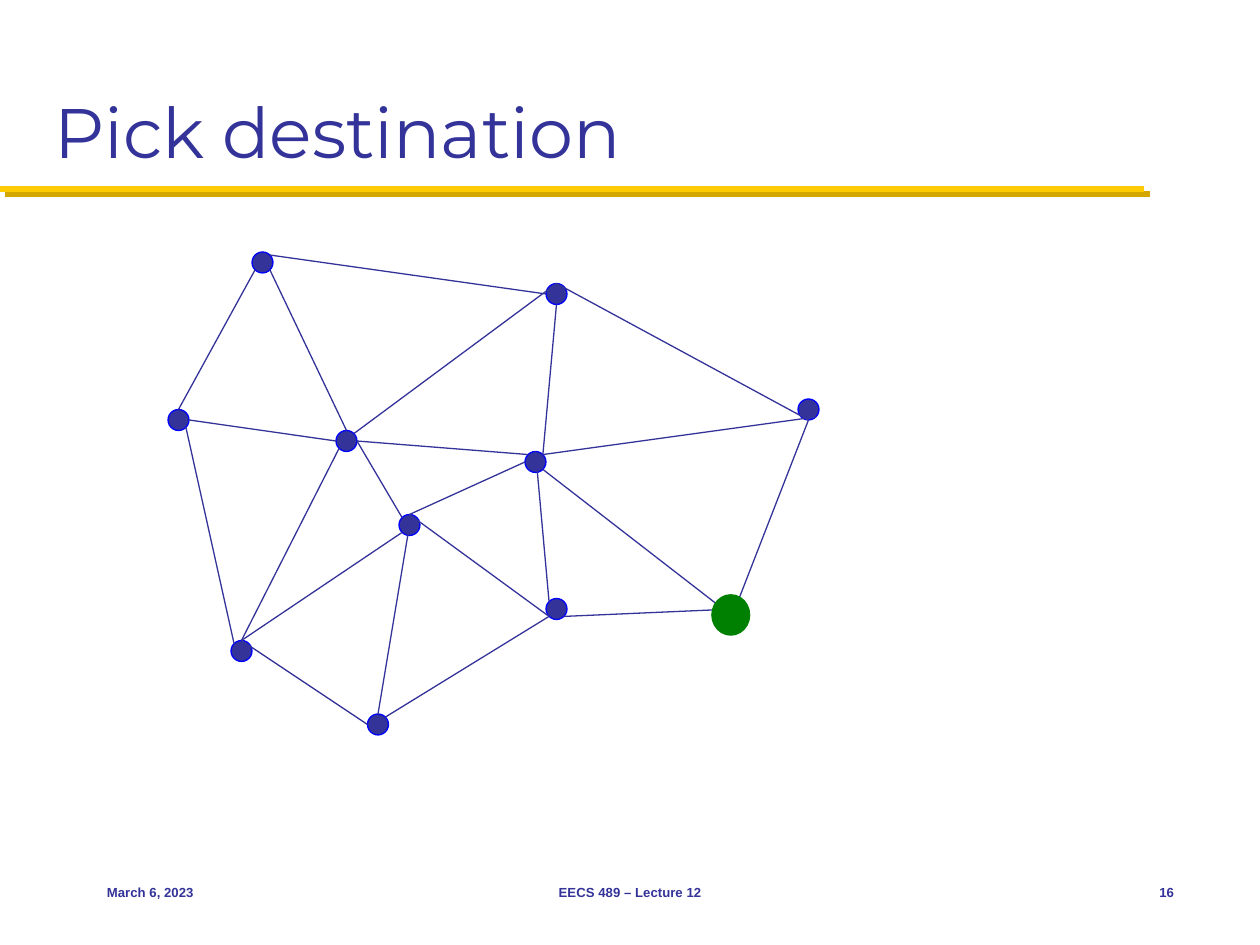
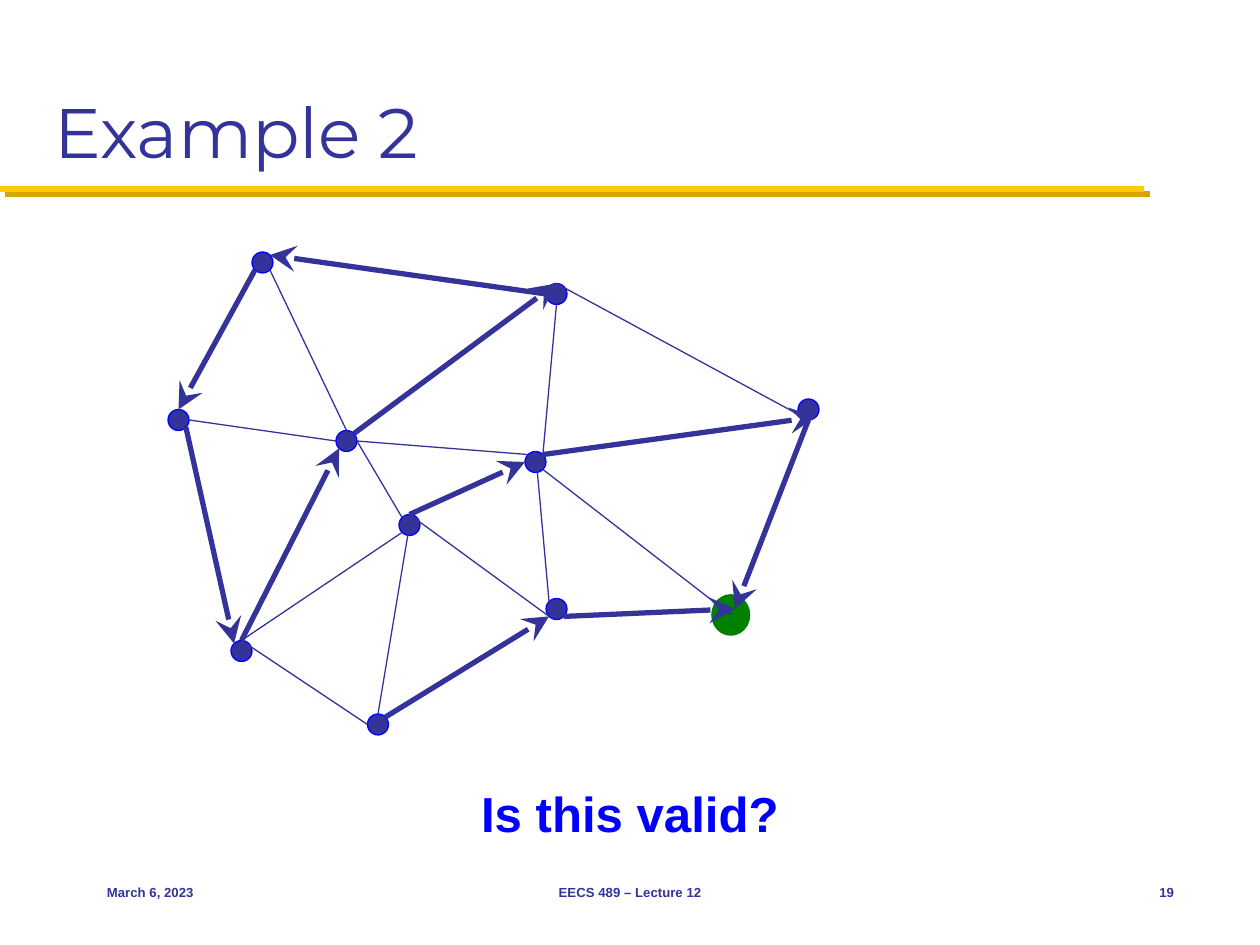
from dataclasses import dataclass
from math import sqrt

from lxml import etree
from pptx import Presentation
from pptx.dml.color import RGBColor
from pptx.enum.shapes import MSO_CONNECTOR, MSO_SHAPE
from pptx.enum.text import MSO_ANCHOR, PP_ALIGN
from pptx.oxml.ns import qn
from pptx.util import Pt

OVAL = MSO_SHAPE.OVAL
STRAIGHT = MSO_CONNECTOR.STRAIGHT
LEFT, CENTER, RIGHT = PP_ALIGN.LEFT, PP_ALIGN.CENTER, PP_ALIGN.RIGHT
TOP, MIDDLE, BOTTOM = MSO_ANCHOR.TOP, MSO_ANCHOR.MIDDLE, MSO_ANCHOR.BOTTOM


@dataclass(frozen=True)
class Theme:
    """Colours, fonts and sizes shared by the slides."""
    ink: str = "333399"
    blue: str = "0000FF"
    green: str = "008000"
    gold: str = "FFCB05"
    gold_shadow: str = "D3A600"
    title_font: str = "Montserrat"
    body_font: str = "Arial"
    title_size: float = 40
    question_size: float = 28.1
    footer_size: float = 7.5
    rule: float = 3.5
    thin: float = 0.75
    thick: float = 3


THEME = Theme()

TITLE_BOX = (24, 12, 672, 90)
RULE_BOX = (0, 108, 654, 0)
GRAPH_BOX = (96, 144, 372, 276)
QUESTION_BOX = (126, 444, 468, 41)
FOOTER_BOX = (54, 492, 624, 36)

RADIUS = 6
GOAL_SIZE = (21.6, 23.04)

# Node centres, measured from the corner of the graph box.
NODES = {
    "northwest": (54, 6), "west": (6, 96), "north": (222, 24),
    "low": (222, 204), "south": (120, 270), "hub": (102, 108),
    "east": (366, 90), "middle": (138, 156), "southwest": (42, 228),
    "core": (210, 120),
}
# The destination, and the point on it where routes arrive.
GOAL = {"goal": (321.6, 207.4), "entry": (324, 204)}

DIAGONAL = 1 / sqrt(2)
SIDES = {
    "C": (0, 0), "N": (0, -1), "S": (0, 1), "W": (-1, 0), "E": (1, 0),
    "NW": (-DIAGONAL, -DIAGONAL), "NE": (DIAGONAL, -DIAGONAL),
    "SW": (-DIAGONAL, DIAGONAL), "SE": (DIAGONAL, DIAGONAL),
}

# Each link: node, side, node, side.
PLAIN_LINKS = [
    ("northwest", "SE", "hub", "N"),
    ("hub", "E", "middle", "NW"),
    ("core", "SE", "goal", "C"),
    ("north", "S", "core", "NE"),
    ("north", "N", "east", "S"),
    ("southwest", "N", "south", "W"),
    ("middle", "N", "low", "SW"),
    ("core", "N", "low", "NW"),
    ("middle", "C", "south", "N"),
    ("hub", "E", "core", "NW"),
    ("west", "E", "hub", "W"),
    ("southwest", "N", "middle", "SW"),
]
# Links that carry a route, in the direction of travel.
ROUTE_LINKS = [
    ("northwest", "SW", "west", "N"),
    ("west", "SE", "southwest", "NW"),
    ("low", "SE", "entry", "C"),
    ("south", "NE", "low", "SW"),
    ("southwest", "N", "hub", "SW"),
    ("middle", "N", "core", "W"),
    ("core", "NE", "east", "SE"),
    ("north", "W", "northwest", "NE"),
    ("hub", "NE", "north", "N"),
    ("east", "S", "entry", "C"),
]


def color(value):
    """Turn a hex string into a colour."""
    return RGBColor.from_string(value)


def add_text(page, box, text, size, tint=THEME.ink, font=THEME.body_font,
             bold=True, align=LEFT, anchor=MIDDLE):
    """Place one line of text in a box."""
    frame = page.shapes.add_textbox(*map(Pt, box)).text_frame
    frame.word_wrap = True
    frame.vertical_anchor = anchor
    para = frame.paragraphs[0]
    para.alignment = align
    span = para.add_run()
    span.text = text
    span.font.name = font
    span.font.size = Pt(size)
    span.font.bold = bold
    span.font.color.rgb = color(tint)


def add_line(page, start, end, tint, width, arrow=False):
    """Draw a straight line and return its effect list, which is empty."""
    line = page.shapes.add_connector(STRAIGHT, *map(Pt, (*start, *end)))
    line.line.color.rgb = color(tint)
    line.line.width = Pt(width)
    if arrow:
        etree.SubElement(line.line._get_or_add_ln(), qn("a:tailEnd"),
                         type="stealth", w="lg", len="lg")
    return etree.SubElement(line._element.spPr, qn("a:effectLst"))


def add_oval(page, center, size, fill, outline):
    """Draw an ellipse around a centre."""
    (x, y), (width, height) = center, size
    oval = page.shapes.add_shape(OVAL, Pt(x - width / 2), Pt(y - height / 2),
                                 Pt(width), Pt(height))
    oval.shadow.inherit = False
    oval.fill.solid()
    oval.fill.fore_color.rgb = color(fill)
    oval.line.color.rgb = color(outline)
    oval.line.width = Pt(THEME.thin)


def add_rule(page, box):
    """Draw the gold rule with its hard shadow."""
    left, top, width, _ = box
    effects = add_line(page, (left, top), (left + width, top),
                       THEME.gold, THEME.rule)
    shadow = etree.SubElement(effects, qn("a:outerShdw"), blurRad="0",
                              dist=str(Pt(4.2)), dir="2700000",
                              algn="ctr", rotWithShape="0")
    etree.SubElement(shadow, qn("a:srgbClr"), val=THEME.gold_shadow)


def add_footer(page, box, number):
    """Place date, lecture name and page number along the footer."""
    left, top, width, height = box
    parts = [
        (0, 150, "March 6, 2023", LEFT),
        (192, 228, "EECS 489 – Lecture 12", CENTER),
        (width - 48, 48, str(number), RIGHT),
    ]
    for offset, part_width, text, align in parts:
        add_text(page, (left + offset, top, part_width, height), text,
                 THEME.footer_size, align=align)


def add_graph(page, box, routed):
    """Draw the network; a routed one has arrows over the destination."""
    left, top = box[:2]
    centers = {name: (left + x, top + y)
               for name, (x, y) in {**NODES, **GOAL}.items()}

    def anchor(name, side):
        """Find the point on one side of a node."""
        return tuple(middle + RADIUS * step
                     for middle, step in zip(centers[name], SIDES[side]))

    def add_goal():
        """Draw the destination."""
        add_oval(page, centers["goal"], GOAL_SIZE, THEME.green, THEME.green)

    if routed:
        add_goal()
    for name in NODES:
        add_oval(page, centers[name], (2 * RADIUS, 2 * RADIUS),
                 THEME.ink, THEME.blue)
    route_width = THEME.thick if routed else THEME.thin
    for links, width, arrow in ((PLAIN_LINKS, THEME.thin, False),
                                (ROUTE_LINKS, route_width, routed)):
        for source, source_side, target, target_side in links:
            add_line(page, anchor(source, source_side),
                     anchor(target, target_side), THEME.ink, width, arrow)
    if not routed:
        add_goal()


def add_page(deck, title, number, routed=False, question=None):
    """Build one network slide."""
    page = deck.slides.add_slide(deck.slide_layouts[6])
    add_rule(page, RULE_BOX)
    add_text(page, TITLE_BOX, title, THEME.title_size,
             font=THEME.title_font, bold=False, anchor=BOTTOM)
    add_graph(page, GRAPH_BOX, routed)
    if question:
        add_text(page, QUESTION_BOX, question, THEME.question_size,
                 tint=THEME.blue, align=CENTER, anchor=TOP)
    add_footer(page, FOOTER_BOX, number)


deck = Presentation()
deck.slide_width, deck.slide_height = Pt(720), Pt(540)
add_page(deck, "Pick destination", 16)
add_page(deck, "Example 2", 19, routed=True, question="Is this valid?")
deck.save("out.pptx")
